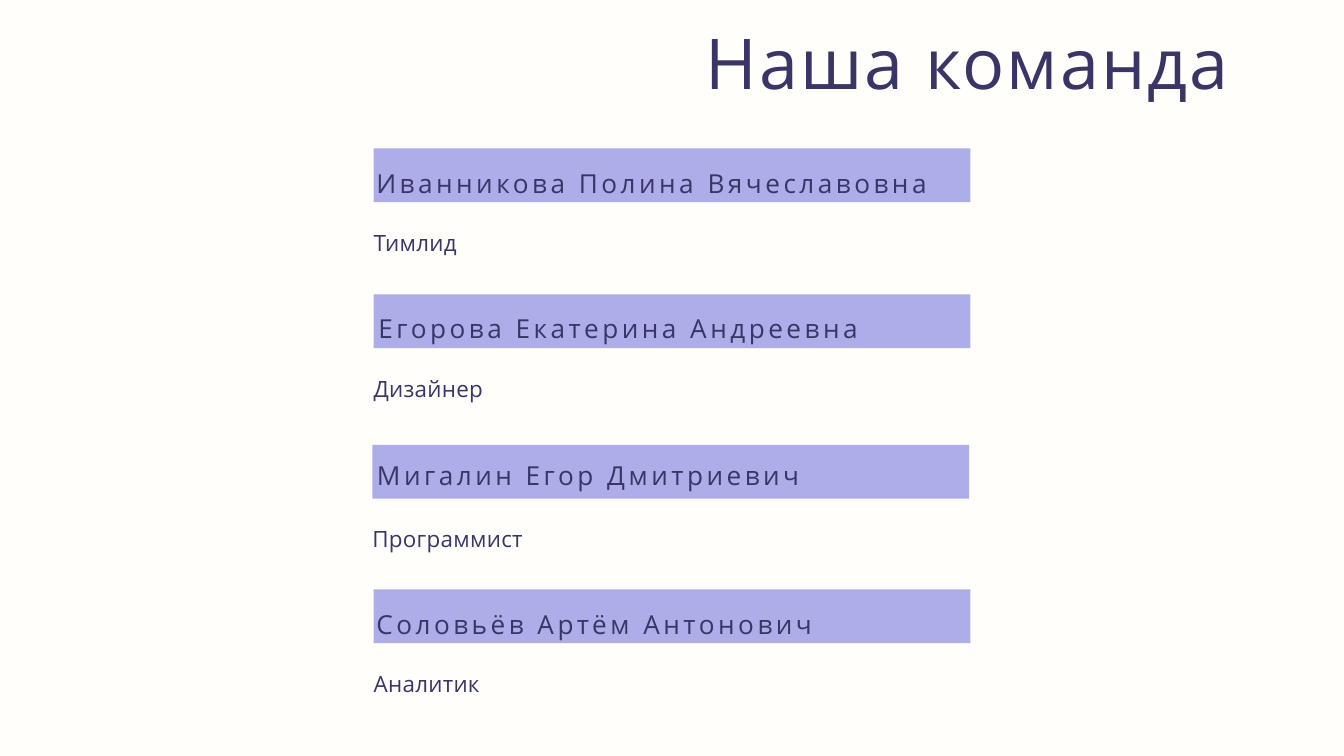
from dataclasses import dataclass

from pptx import Presentation
from pptx.dml.color import RGBColor
from pptx.enum.shapes import MSO_SHAPE
from pptx.enum.text import MSO_AUTO_SIZE
from pptx.shapes.shapetree import GroupShapes, SlideShapes
from pptx.util import Inches, Pt

RECTANGLE = MSO_SHAPE.RECTANGLE
GROW = MSO_AUTO_SIZE.SHAPE_TO_FIT_TEXT

FONT = "Open Sans"
INK = "393667"
BAND = "ADADE9"
PAPER = "FFFEFB"


@dataclass(frozen=True)
class TextStyle:
    size: float
    line: float
    tracking: float


@dataclass(frozen=True)
class Member:
    """A team member; the name's place is given relative to the band."""
    name: str
    role: str
    left: float
    top: float
    name_dx: float
    name_dy: float
    name_width: float


TITLE = TextStyle(75, 90, 2.2)
NAME = TextStyle(28, 45.6, 3.8)
ROLE = TextStyle(24, 45, 0.3)

TEAM = [
    Member("Иванникова Полина Вячеславовна", "Тимлид", 5.56, 2.21, 0.04, 0.11, 8.92),
    Member("Егорова Екатерина Андреевна", "Дизайнер", 5.56, 4.38, 0.07, 0.1, 8.29),
    Member("Мигалин Егор Дмитриевич", "Программист", 5.54, 6.62, 0.07, 0.05, 8.29),
    Member("Соловьёв Артём Антонович", "Аналитик", 5.56, 8.77, 0.04, 0.11, 8.92),
]


def color(value: str) -> RGBColor:
    return RGBColor.from_string(value)


def add_text(shapes: SlideShapes | GroupShapes, text: str, style: TextStyle,
             left: float, top: float, width: float, height: float) -> None:
    box = shapes.add_textbox(Inches(left), Inches(top), Inches(width), Inches(height))
    frame = box.text_frame
    frame.margin_left = frame.margin_top = frame.margin_right = frame.margin_bottom = 0
    frame.word_wrap = True
    frame.auto_size = GROW
    para = frame.paragraphs[0]
    para.line_spacing = Pt(style.line)
    span = para.add_run()
    span.text = text
    span.font.name = FONT
    span.font.size = Pt(style.size)
    span.font.color.rgb = color(INK)
    span._r.get_or_add_rPr().set("spc", str(round(style.tracking * 100)))


def add_member(shapes: SlideShapes, member: Member) -> None:
    group = shapes.add_group_shape().shapes
    band = group.add_shape(RECTANGLE, Inches(member.left), Inches(member.top),
                           Inches(8.88), Inches(0.8))
    band.shadow.inherit = False
    band.fill.solid()
    band.fill.fore_color.rgb = color(BAND)
    band.line.fill.background()
    add_text(group, member.name, NAME, member.left + member.name_dx,
             member.top + member.name_dy, member.name_width, 0.59)
    add_text(group, member.role, ROLE, member.left, member.top + 0.97, 8.71, 0.58)


def main() -> None:
    deck = Presentation()
    deck.slide_width, deck.slide_height = Inches(20), Inches(11.25)
    page = deck.slides.add_slide(deck.slide_layouts[6])
    page.background.fill.solid()
    page.background.fill.fore_color.rgb = color(PAPER)
    add_text(page.shapes, "Наша команда", TITLE, 10.5, 0.29, 9.31, 1.26)
    for member in TEAM:
        add_member(page.shapes, member)
    deck.save("out.pptx")


if __name__ == "__main__":
    main()
